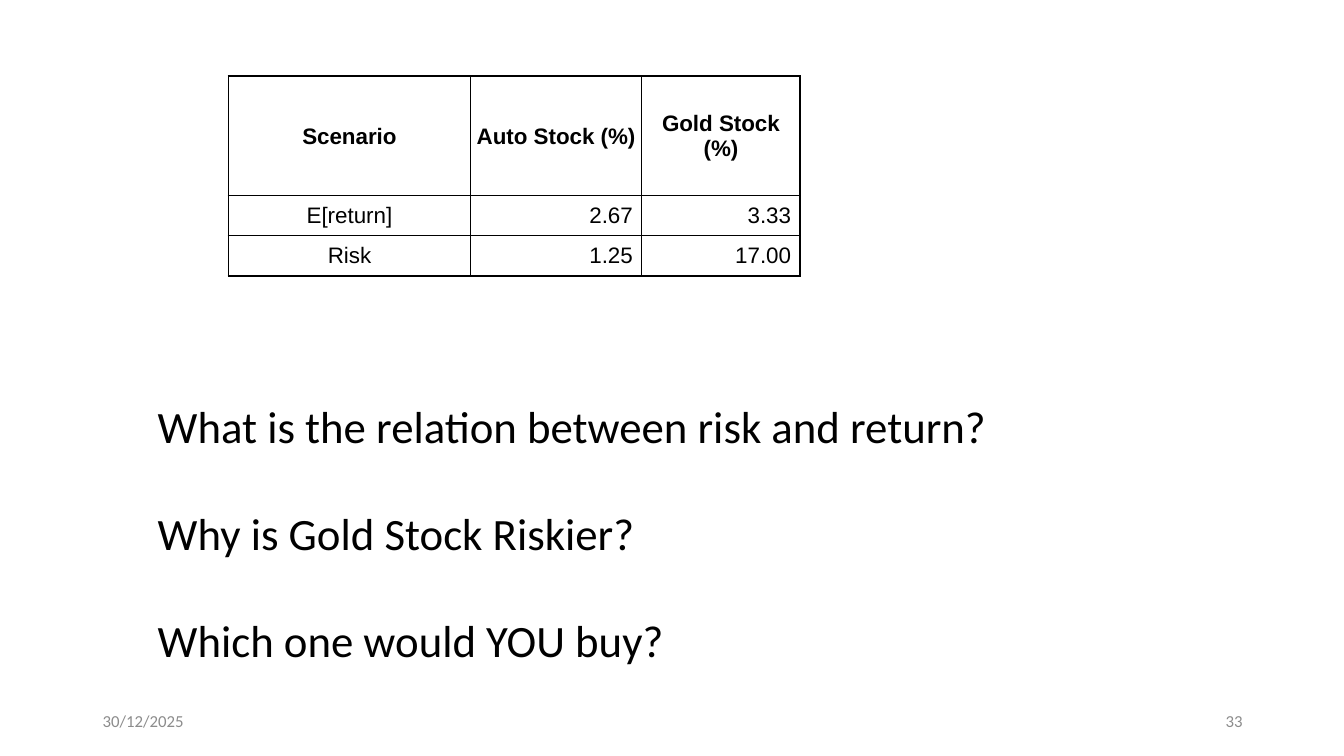
from dataclasses import dataclass

from lxml import etree
from pptx import Presentation, util as u
from pptx.dml.color import RGBColor
from pptx.enum import text
from pptx.oxml import ns

WIDTH, HEIGHT = 13.33, 7.5
LEFT, CENTER, RIGHT = text.PP_ALIGN.LEFT, text.PP_ALIGN.CENTER, text.PP_ALIGN.RIGHT


@dataclass(frozen=True)
class Theme:
    ink: str = "000000"
    muted: str = "8C8C8C"
    body_font: str = "Calibri"
    table_font: str = "Arial"
    question_size: int = 32
    question_gap: int = 38
    table_size: int = 16
    footer_size: int = 12
    thin: float = 1
    thick: float = 1.5


THEME = Theme()
QUESTIONS = [
    "What is the relation between risk and return?",
    "Why is Gold Stock Riskier?",
    "Which one would YOU buy?",
]
STOCKS = [
    ["Scenario", "Auto Stock (%)", "Gold Stock (%)"],
    ["E[return]", "2.67", "3.33"],
    ["Risk", "1.25", "17.00"],
]
COLUMNS = [2.4, 1.7, 1.57]
ROWS = [1.18, 0.4, 0.4]


def set_all(target, values):
    for name, value in values.items():
        setattr(target, name, value)


def box(x, y, w, h):
    return [u.Inches(v) for v in (x * WIDTH, y * HEIGHT, w * WIDTH, h * HEIGHT)]


def style(p, size, font, color, align=LEFT, bold=False):
    p.alignment = align
    set_all(p.font, {"size": u.Pt(size), "name": font, "bold": bold})
    p.font.color.rgb = RGBColor.from_string(color)


def add_text(s, place, lines, size, color, align=LEFT, gap=0,
             anchor=text.MSO_ANCHOR.TOP):
    tf = s.shapes.add_textbox(*box(*place)).text_frame
    set_all(tf, {"word_wrap": True, "vertical_anchor": anchor})
    for i, line in enumerate(lines):
        p = tf.paragraphs[0] if i == 0 else tf.add_paragraph()
        p.text = line
        if i:
            p.space_before = u.Pt(gap)
        style(p, size, THEME.body_font, color, align)


def add_border(cell, side, width):
    ln = etree.SubElement(cell._tc.get_or_add_tcPr(), ns.qn(f"a:ln{side}"),
                          w=str(u.Pt(width)))
    fill = etree.SubElement(ln, ns.qn("a:solidFill"))
    etree.SubElement(fill, ns.qn("a:srgbClr"), val=THEME.ink)


def format_cell(cell, row, col):
    number = row > 0 and col > 0
    set_all(cell, {
        "text": STOCKS[row][col],
        "vertical_anchor": text.MSO_ANCHOR.MIDDLE,
        "margin_left": u.Inches(0.01),
        "margin_top": u.Inches(0.01),
        "margin_right": u.Inches(0.09 if number else 0.01),
        "margin_bottom": 0,
    })
    style(cell.text_frame.paragraphs[0], THEME.table_size, THEME.table_font,
          THEME.ink, RIGHT if number else CENTER, row == 0)
    outer = {"L": col == 0, "R": col == len(COLUMNS) - 1, "T": row == 0, "B": False}
    for side, edge in outer.items():
        add_border(cell, side, THEME.thick if edge else THEME.thin)
    cell.fill.background()


def add_stock_table(s, x, y):
    place = box(x, y, sum(COLUMNS) / WIDTH, sum(ROWS) / HEIGHT)
    table = s.shapes.add_table(len(ROWS), len(COLUMNS), *place).table
    set_all(table, {"first_row": False, "horz_banding": False})
    for column, width in zip(table.columns, COLUMNS):
        column.width = u.Inches(width)
    for row, height in zip(table.rows, ROWS):
        row.height = u.Inches(height)
    for row in range(len(ROWS)):
        for col in range(len(COLUMNS)):
            format_cell(table.cell(row, col), row, col)


def add_footer(s, x, label, align):
    add_text(s, (x, 0.927, 0.225, 0.053), [label], THEME.footer_size,
             THEME.muted, align, anchor=text.MSO_ANCHOR.MIDDLE)


def main():
    prs = Presentation()
    set_all(prs, {"slide_width": u.Inches(WIDTH), "slide_height": u.Inches(HEIGHT)})
    s = prs.slides.add_slide(prs.slide_layouts[6])
    add_footer(s, 0.069, "30/12/2025", LEFT)
    add_footer(s, 0.707, "33", RIGHT)
    add_text(s, (0.11, 0.521, 0.709, 0.372), QUESTIONS, THEME.question_size,
             THEME.ink, gap=THEME.question_gap)
    add_stock_table(s, 0.17, 0.101)
    prs.save("out.pptx")


if __name__ == "__main__":
    main()
